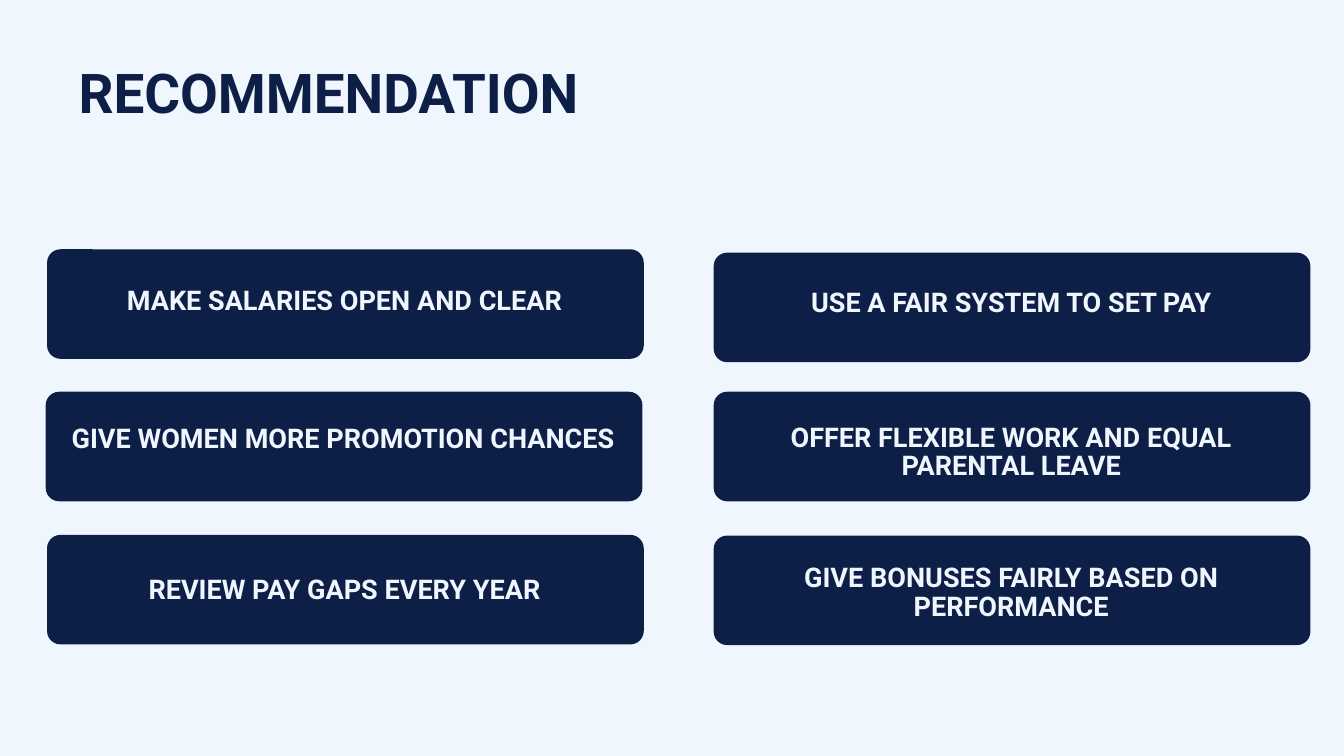
from dataclasses import dataclass

from pptx import Presentation
from pptx.dml.color import RGBColor
from pptx.enum import shapes, text
from pptx.util import Inches, Pt


@dataclass(frozen=True)
class Theme:
    navy: RGBColor = RGBColor(0x0E, 0x1F, 0x47)
    pale: RGBColor = RGBColor(0xEF, 0xF6, 0xFD)
    font: str = "Roboto"
    title_size: float = 58.7
    title_leading: float = 62.2
    label_size: float = 29
    label_leading: float = 30.7


THEME = Theme()
CARD_WIDTH, CARD_HEIGHT, CORNER = 8.88, 1.63, 0.2
LABEL_WIDTH, LABEL_INSET = 8.6, 0.13

# Each entry: card left, card top, label top, label height, wording
RECOMMENDATIONS = [
    (0.7, 3.71, 4.27, 0.42, "MAKE SALARIES OPEN AND CLEAR"),
    (10.62, 3.76, 4.31, 0.42, "USE A FAIR SYSTEM TO SET PAY"),
    (0.68, 5.83, 6.33, 0.84, "GIVE WOMEN MORE PROMOTION CHANCES"),
    (10.62, 5.83, 6.31, 0.84, "OFFER FLEXIBLE WORK AND EQUAL PARENTAL LEAVE"),
    (0.7, 7.96, 8.58, 0.42, "REVIEW PAY GAPS EVERY YEAR"),
    (10.62, 7.97, 8.4, 0.84, "GIVE BONUSES FAIRLY BASED ON PERFORMANCE"),
]


def add_heading(slide, box, wording, size, leading, color):
    """Add centred bold text in a box without margins."""
    frame = slide.shapes.add_textbox(*map(Inches, box)).text_frame
    frame.word_wrap = True
    frame.margin_left = frame.margin_right = 0
    frame.margin_top = frame.margin_bottom = 0
    frame.text = wording
    paragraph = frame.paragraphs[0]
    paragraph.alignment = text.PP_ALIGN.CENTER
    paragraph.line_spacing = Pt(leading)
    font = paragraph.runs[0].font
    font.name, font.size, font.bold = THEME.font, Pt(size), True
    font.color.rgb = color


def add_card(slide, left, top, label_top, label_height, wording):
    """Add a rounded panel with its recommendation on it."""
    panel = slide.shapes.add_shape(
        shapes.MSO_SHAPE.ROUNDED_RECTANGLE,
        *map(Inches, (left, top, CARD_WIDTH, CARD_HEIGHT)))
    panel.adjustments[0] = CORNER / CARD_HEIGHT
    panel.shadow.inherit = False
    panel.fill.solid()
    panel.fill.fore_color.rgb = THEME.navy
    panel.line.fill.background()
    label_box = (left + LABEL_INSET, label_top, LABEL_WIDTH, label_height)
    add_heading(slide, label_box, wording,
                THEME.label_size, THEME.label_leading, THEME.pale)


def main():
    """Build the recommendation slide and save it."""
    deck = Presentation()
    deck.slide_width, deck.slide_height = Inches(20), Inches(11.25)
    slide = deck.slides.add_slide(deck.slide_layouts[6])
    slide.background.fill.solid()
    slide.background.fill.fore_color.rgb = THEME.pale
    add_heading(slide, (0.39, 0.99, 9, 0.88), "RECOMMENDATION",
                THEME.title_size, THEME.title_leading, THEME.navy)
    for recommendation in RECOMMENDATIONS:
        add_card(slide, *recommendation)
    deck.save("out.pptx")


if __name__ == "__main__":
    main()
